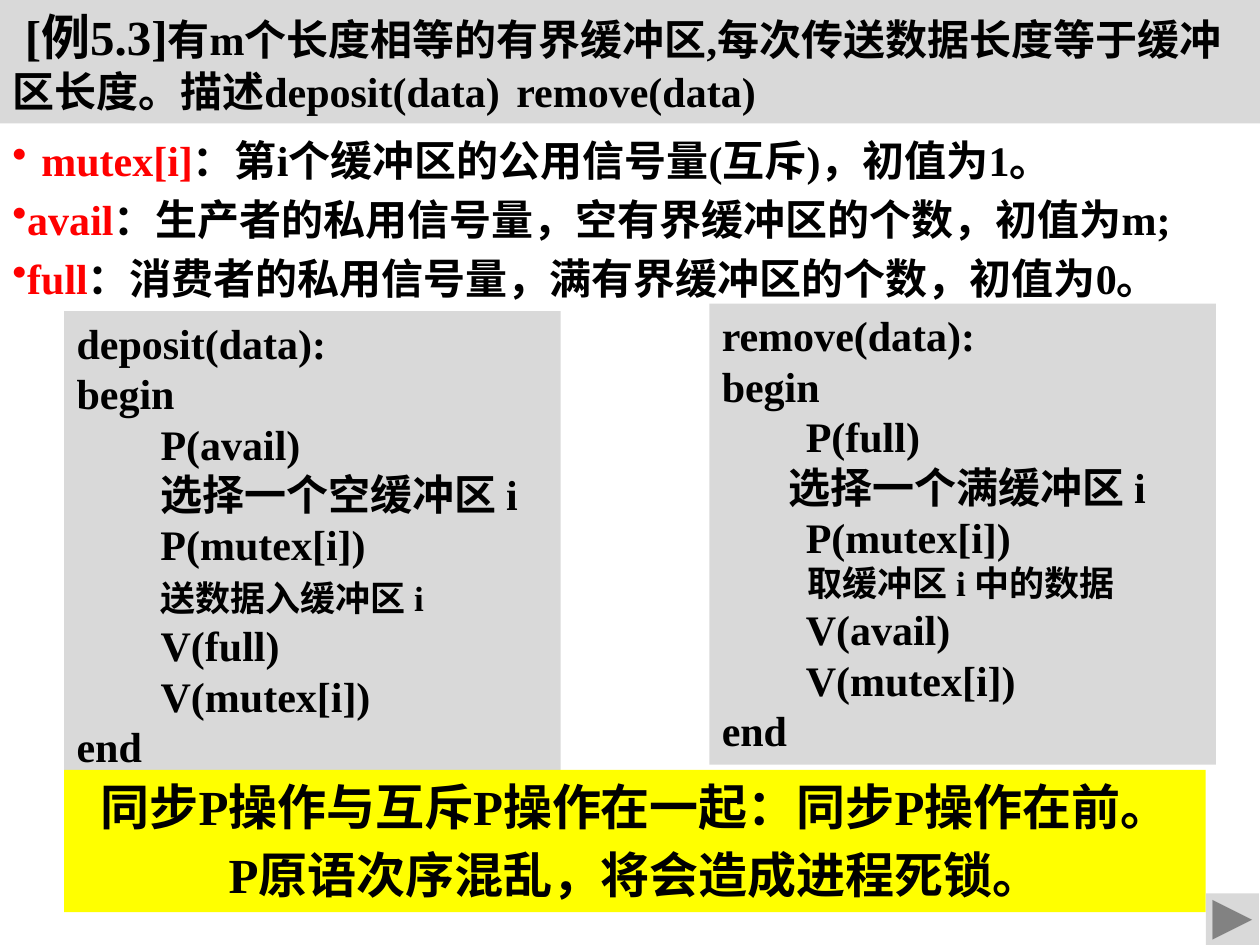
from lxml import etree
from pptx import Presentation
from pptx.dml.color import RGBColor
from pptx.enum.shapes import MSO_SHAPE
from pptx.enum.text import MSO_ANCHOR, PP_ALIGN
from pptx.oxml.ns import qn
from pptx.util import Inches, Pt

RECTANGLE = MSO_SHAPE.RECTANGLE
FORWARD_BUTTON = MSO_SHAPE.ACTION_BUTTON_FORWARD_OR_NEXT
TOP = MSO_ANCHOR.TOP
LEFT, CENTER = PP_ALIGN.LEFT, PP_ALIGN.CENTER

FONT = "Times New Roman"
COLORS = {"text": "000000", "term": "FF0000", "panel": "D9D9D9", "warning": "FFFF00"}

SEMAPHORES = [
    ("mutex[i]", "：第i个缓冲区的公用信号量(互斥)，初值为1。", 0.23),
    ("avail", "：生产者的私用信号量，空有界缓冲区的个数，初值为m;", 0.1),
    ("full", "：消费者的私用信号量，满有界缓冲区的个数，初值为0。", 0.1),
]

# Each line of code is a list of (text, size) runs
DEPOSIT = [
    [("deposit(data):", 24)],
    [("begin", 24)],
    [("　　P(avail)", 24)],
    [("　　选择一个空缓冲区 i", 24)],
    [("        P(mutex[i])", 24)],
    [("　　", 24), ("送数据入缓冲区 i", 20)],
    [("　　V(full)", 24)],
    [("　　V(mutex[i])", 24)],
    [("end", 24)],
]
REMOVE = [
    [("remove(data):", 24)],
    [("begin", 24)],
    [("　　P(full)", 24)],
    [("       选择一个满缓冲区 i", 24)],
    [("　　P(mutex[i])", 24)],
    [("　　  取缓冲区 i 中的数据", 20)],
    [("　　V(avail)", 24)],
    [("　　V(mutex[i])", 24)],
    [("end", 24)],
]


def add_run(paragraph, text, size=24, color="text"):
    run = paragraph.add_run()
    run.text = text
    run.font.name = FONT
    run.font.size = Pt(size)
    run.font.bold = True
    run.font.color.rgb = RGBColor.from_string(COLORS[color])


def next_paragraph(frame, index, space=0, align=LEFT):
    paragraph = frame.add_paragraph() if index else frame.paragraphs[0]
    paragraph.alignment = align
    if index and space:
        paragraph.space_before = Pt(space)
    return paragraph


def set_indent(paragraph, margin, first_line):
    properties = paragraph._p.get_or_add_pPr()
    properties.set("marL", str(Inches(margin)))
    properties.set("indent", str(Inches(first_line)))
    return properties


def add_bullet(paragraph, hang):
    properties = set_indent(paragraph, hang, -hang)
    etree.SubElement(properties, qn("a:buChar"), char="•")


def add_tab_stop(paragraph, position):
    properties = paragraph._p.get_or_add_pPr()
    stops = etree.SubElement(properties, qn("a:tabLst"))
    etree.SubElement(stops, qn("a:tab"), pos=str(Inches(position)), algn="l")


def add_panel(slide, box, color, preset=RECTANGLE):
    panel = slide.shapes.add_shape(preset, *map(Inches, box))
    panel.shadow.inherit = False
    panel.fill.solid()
    panel.fill.fore_color.rgb = RGBColor.from_string(COLORS[color])
    panel.line.fill.background()
    panel.text_frame.word_wrap = True
    panel.text_frame.vertical_anchor = TOP
    return panel.text_frame


def add_semaphores(slide):
    frame = slide.shapes.add_textbox(*map(Inches, (0, 1.02, 10, 1.47))).text_frame
    frame.word_wrap = True
    for index, (term, meaning, hang) in enumerate(SEMAPHORES):
        paragraph = next_paragraph(frame, index, space=4.8)
        add_bullet(paragraph, hang)
        add_run(paragraph, term, color="term")
        add_run(paragraph, meaning)


def add_code(slide, box, lines):
    frame = add_panel(slide, box, "panel")
    for index, line in enumerate(lines):
        paragraph = next_paragraph(frame, index)
        for text, size in line:
            add_run(paragraph, text, size=size)


def add_problem(slide):
    paragraph = next_paragraph(add_panel(slide, (0, 0, 10, 0.98), "panel"), 0)
    set_indent(paragraph, 0, 0.1)
    add_tab_stop(paragraph, 5.36)
    add_run(paragraph, "[例5.3]", size=28)
    add_run(paragraph, "有m个长度相等的有界缓冲区,每次传送数据长度等于缓冲区长度。"
                       "描述deposit(data)\tremove(data)")


def add_warning(slide):
    frame = add_panel(slide, (0.51, 6.11, 9.06, 1.13), "warning")
    warnings = ("同步P操作与互斥P操作在一起：同步P操作在前。",
                "P原语次序混乱，将会造成进程死锁。")
    for index, text in enumerate(warnings):
        add_run(next_paragraph(frame, index, space=5.6, align=CENTER), text, size=28)


def main():
    deck = Presentation()
    deck.slide_width, deck.slide_height = Inches(10), Inches(7.5)
    slide = deck.slides.add_slide(deck.slide_layouts[6])

    # Semaphore definitions
    add_semaphores(slide)

    # The two procedures
    add_code(slide, (0.51, 2.47, 3.94, 3.73), DEPOSIT)
    add_code(slide, (5.63, 2.41, 4.02, 3.66), REMOVE)

    # Problem statement and conclusion
    add_problem(slide)
    add_warning(slide)

    # Next-slide button
    add_panel(slide, (9.57, 7.09, 0.42, 0.42), "panel", FORWARD_BUTTON)

    deck.save("out.pptx")


if __name__ == "__main__":
    main()
